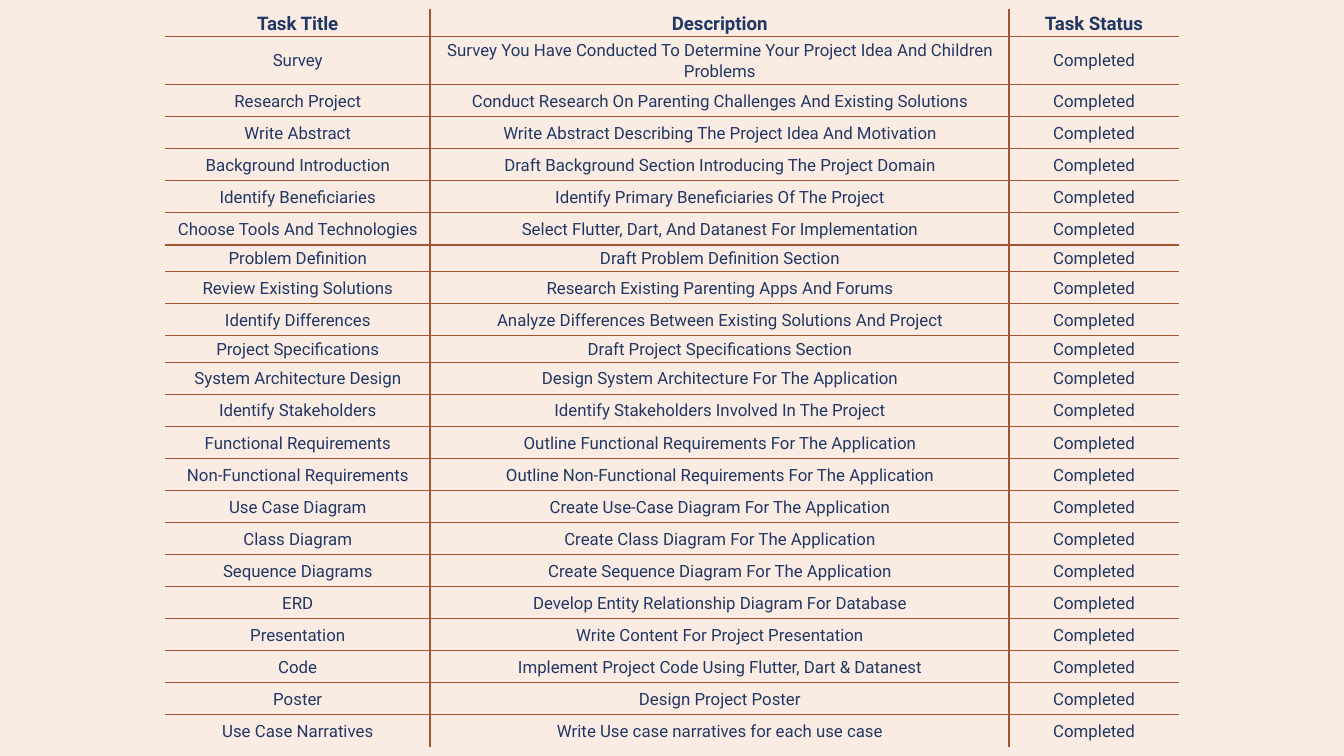
from dataclasses import dataclass

from lxml.etree import SubElement
from pptx import Presentation
from pptx.dml.color import RGBColor
from pptx.enum.text import MSO_ANCHOR, PP_ALIGN
from pptx.oxml.ns import qn
from pptx.util import Inches, Pt

HEADERS = ("Task Title", "Description", "Task Status")
STATUS = "Completed"
TASKS = [
    ("Survey", "Survey You Have Conducted To Determine Your Project Idea And Children Problems"),
    ("Research Project", "Conduct Research On Parenting Challenges And Existing Solutions"),
    ("Write Abstract", "Write Abstract Describing The Project Idea And Motivation"),
    ("Background Introduction", "Draft Background Section Introducing The Project Domain"),
    ("Identify Beneficiaries", "Identify Primary Beneficiaries Of The Project"),
    ("Choose Tools And Technologies", "Select Flutter, Dart, And Datanest For Implementation"),
    ("Problem Definition", "Draft Problem Definition Section"),
    ("Review Existing Solutions", "Research Existing Parenting Apps And Forums"),
    ("Identify Differences", "Analyze Differences Between Existing Solutions And Project"),
    ("Project Specifications", "Draft Project Specifications Section"),
    ("System Architecture Design", "Design System Architecture For The Application"),
    ("Identify Stakeholders", "Identify Stakeholders Involved In The Project"),
    ("Functional Requirements", "Outline Functional Requirements For The Application"),
    ("Non-Functional Requirements", "Outline Non-Functional Requirements For The Application"),
    ("Use Case Diagram", "Create Use-Case Diagram For The Application"),
    ("Class Diagram", "Create Class Diagram For The Application"),
    ("Sequence Diagrams", "Create Sequence Diagram For The Application"),
    ("ERD", "Develop Entity Relationship Diagram For Database"),
    ("Presentation", "Write Content For Project Presentation"),
    ("Code", "Implement Project Code Using Flutter, Dart & Datanest"),
    ("Poster", "Design Project Poster"),
    ("Use Case Narratives", "Write Use case narratives for each use case"),
]

SLIDE_WIDTH = 10
SLIDE_HEIGHT = SLIDE_WIDTH * 9 / 16
LEFT, TOP, WIDTH, HEIGHT = 1.23, 0.07, 7.54, 5.49
COLUMN_WIDTHS = (1.97, 4.31, 1.26)
SPECIAL_HEIGHTS = {
    "Task Title": 0.2,
    "Survey": 0.36,
    "Problem Definition": 0.2,
    "Project Specifications": 0.2,
}
NO_GRID_STYLE = "{2D5ABB26-0587-4C30-8999-92F81FD0307C}"


@dataclass(frozen=True)
class Theme:
    font: str = "Roboto"
    background: str = "FAECE3"
    text: str = "213864"
    rule: str = "A15631"
    header_size: int = 10
    body_size: int = 9
    rule_width: int = 1
    line_spacing: float = 1.07


THEME = Theme()


def add_border(cell, side):
    properties = cell._tc.get_or_add_tcPr()
    line = SubElement(properties, qn(f"a:ln{side}"), w=str(Pt(THEME.rule_width)))
    fill = SubElement(line, qn("a:solidFill"))
    SubElement(fill, qn("a:srgbClr"), val=THEME.rule)


def format_cell(cell, text, is_header, inner_sides):
    cell.text = text
    cell.vertical_anchor = MSO_ANCHOR.MIDDLE
    cell.margin_left = cell.margin_right = Inches(0.04)
    cell.margin_top = cell.margin_bottom = 0
    for side, is_inner in inner_sides.items():
        if is_inner:
            add_border(cell, side)
    cell.fill.background()
    paragraph = cell.text_frame.paragraphs[0]
    paragraph.alignment = PP_ALIGN.CENTER
    paragraph.line_spacing = THEME.line_spacing
    font = paragraph.font
    font.name = THEME.font
    font.size = Pt(THEME.header_size if is_header else THEME.body_size)
    font.bold = is_header
    font.color.rgb = RGBColor.from_string(THEME.text)


def add_task_table(slide):
    rows = [HEADERS] + [(title, description, STATUS) for title, description in TASKS]
    last_row, last_column = len(rows) - 1, len(HEADERS) - 1
    table = slide.shapes.add_table(
        len(rows), len(HEADERS), Inches(LEFT), Inches(TOP), Inches(WIDTH), Inches(HEIGHT)
    ).table
    table.first_row = table.horz_banding = False
    table._tbl.tblPr.find(qn("a:tableStyleId")).text = NO_GRID_STYLE
    for column, width in zip(table.columns, COLUMN_WIDTHS):
        column.width = Inches(width)
    regular_height = (HEIGHT - sum(SPECIAL_HEIGHTS.values())) / (len(rows) - len(SPECIAL_HEIGHTS))
    for row_index, values in enumerate(rows):
        table.rows[row_index].height = Inches(SPECIAL_HEIGHTS.get(values[0], regular_height))
        for column_index, text in enumerate(values):
            inner_sides = {
                "L": column_index > 0,
                "R": column_index < last_column,
                "T": row_index > 0,
                "B": row_index < last_row,
            }
            format_cell(table.cell(row_index, column_index), text, row_index == 0, inner_sides)


def main():
    presentation = Presentation()
    presentation.slide_width = Inches(SLIDE_WIDTH)
    presentation.slide_height = Inches(SLIDE_HEIGHT)
    slide = presentation.slides.add_slide(presentation.slide_layouts[6])
    background = slide.background.fill
    background.solid()
    background.fore_color.rgb = RGBColor.from_string(THEME.background)
    add_task_table(slide)
    presentation.save("out.pptx")


if __name__ == "__main__":
    main()
